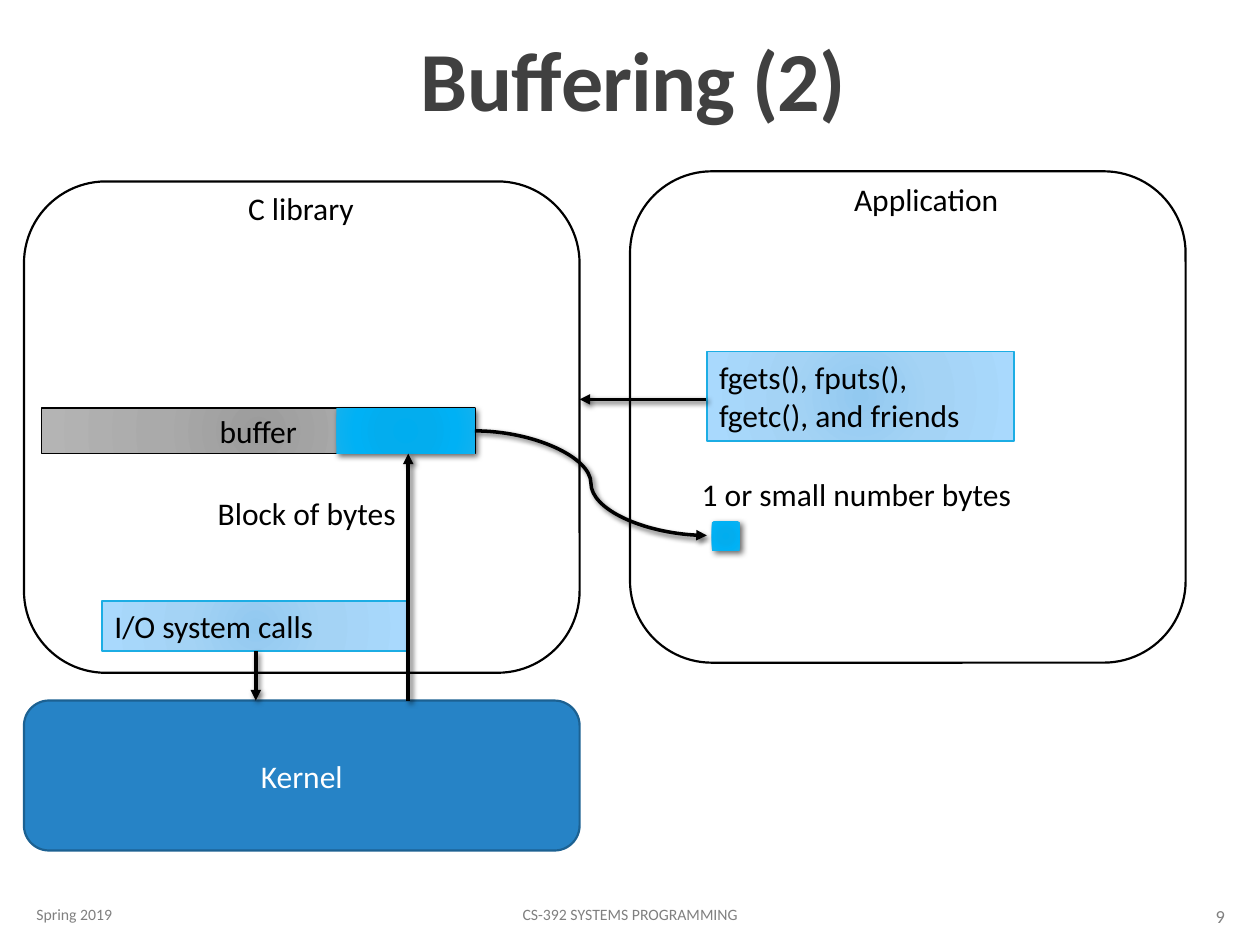
from lxml import etree
from pptx import Presentation
from pptx import util as u
from pptx.dml.color import RGBColor
from pptx.enum import shapes, text
from pptx.oxml.ns import qn

BLACK = RGBColor(0, 0, 0)
WHITE = RGBColor(255, 255, 255)
TITLE_GREY = RGBColor(0x40, 0x40, 0x40)
FOOTER_GREY = RGBColor(0x80, 0x80, 0x80)
KERNEL_BLUE = RGBColor(0x26, 0x83, 0xC6)
KERNEL_EDGE = RGBColor(0x1C, 0x61, 0x92)
CALL_EDGE = RGBColor(0x1C, 0xAD, 0xE4)

CALL_GLOW = [(0, RGBColor(0x92, 0xC9, 0xF0)), (45, RGBColor(0xA4, 0xD3, 0xF5)),
             (100, RGBColor(0xA9, 0xD9, 0xFD))]
BUFFER_GLOW = [(0, RGBColor(0x9C, 0x9C, 0x9C)), (45, RGBColor(0xAA, 0xAA, 0xAA)),
               (100, RGBColor(0xB4, 0xB4, 0xB4))]
BYTES_GLOW = [(0, RGBColor(0x00, 0xAD, 0xEF)), (34, RGBColor(0x03, 0xAD, 0xEE)),
              (70, RGBColor(0x00, 0xB1, 0xF5)), (100, RGBColor(0x12, 0xB1, 0xEE))]

LEFT, CENTER, RIGHT = text.PP_ALIGN.LEFT, text.PP_ALIGN.CENTER, text.PP_ALIGN.RIGHT
TOP, MIDDLE, BOTTOM = (text.MSO_ANCHOR.TOP, text.MSO_ANCHOR.MIDDLE,
                       text.MSO_ANCHOR.BOTTOM)
RECT, ROUND = shapes.MSO_SHAPE.RECTANGLE, shapes.MSO_SHAPE.ROUNDED_RECTANGLE
STRAIGHT, CURVE = shapes.MSO_CONNECTOR.STRAIGHT, shapes.MSO_CONNECTOR.CURVE


def add(parent, tag, **attributes):
    return etree.SubElement(parent, qn(tag),
                            {key: str(value) for key, value in attributes.items()})


def write(shape, words, size=18, color=BLACK, bold=False, align=LEFT, anchor=TOP,
          wrap=True, grow=False, line_spacing=None, tracking=None):
    frame = shape.text_frame
    frame.word_wrap = wrap
    frame.vertical_anchor = anchor
    if grow:
        frame.auto_size = text.MSO_AUTO_SIZE.SHAPE_TO_FIT_TEXT
    paragraph = frame.paragraphs[0]
    paragraph.alignment = align
    if line_spacing:
        paragraph.line_spacing = line_spacing
    run = paragraph.add_run()
    run.text = words
    run.font.name = "Calibri"
    run.font.size = u.Pt(size)
    run.font.bold = bold
    run.font.color.rgb = color
    if tracking:
        run.font._element.set("spc", str(int(tracking * 100)))


def glow(shape, stops):
    shape.fill.gradient()
    gradient = shape._element.spPr.find(qn("a:gradFill"))
    for child in list(gradient):
        gradient.remove(child)
    stop_list = add(gradient, "a:gsLst")
    for position, color in stops:
        add(add(stop_list, "a:gs", pos=position * 1000), "a:srgbClr", val=color)
    circle = add(gradient, "a:path", path="circle")
    add(circle, "a:fillToRect", l=100000, t=100000, r=100000, b=100000)


def cast_shadow(effects, blur):
    shadow = add(effects, "a:outerShdw", blurRad=u.Pt(blur), dist=u.Pt(2),
                 dir=45 * 60000, algn="tl", rotWithShape=0)
    add(add(shadow, "a:srgbClr", val=BLACK), "a:alpha", val=60000)


class Diagram:
    def __init__(self, slide):
        self.slide = slide
        self.arrow_width = u.Pt(2)

    def label(self, words, left, top, width, height, **style):
        box = self.slide.shapes.add_textbox(*map(u.Inches, (left, top, width, height)))
        write(box, words, **style)

    def tag(self, words, left, top, width):
        self.label(words, left, top, width, 0.4, wrap=False, grow=True)

    def box(self, kind, left, top, width, height, fill, edge=None, edge_width=1.25,
            words=None, shadow=False, **style):
        shape = self.slide.shapes.add_shape(
            kind, *map(u.Inches, (left, top, width, height)))
        if isinstance(fill, list):
            glow(shape, fill)
        else:
            shape.fill.solid()
            shape.fill.fore_color.rgb = fill
        if edge is None:
            shape.line.fill.background()
        else:
            shape.line.color.rgb = edge
            shape.line.width = u.Pt(edge_width)
        shape.shadow.inherit = False
        if shadow:
            cast_shadow(shape._element.spPr.find(qn("a:effectLst")), 3.5)
        if words:
            write(shape, words, **style)

    def panel(self, left, top):
        self.box(ROUND, left, top, 4.41, 3.9, WHITE, BLACK)

    def calls(self, words, left, top, height):
        self.box(RECT, left, top, 2.44, height, CALL_GLOW, CALL_EDGE, 1, words, grow=True)

    def data(self, left, top, width, height):
        self.box(RECT, left, top, width, height, BYTES_GLOW, shadow=True)

    def arrow(self, start, end, kind=STRAIGHT):
        arrow = self.slide.shapes.add_connector(kind, *map(u.Inches, start + end))
        arrow.line.color.rgb = BLACK
        arrow.line.width = self.arrow_width
        add(arrow.line._get_or_add_ln(), "a:tailEnd", type="triangle")
        cast_shadow(add(arrow._element.spPr, "a:effectLst"), 3)


def main():
    deck = Presentation()
    deck.slide_width, deck.slide_height = u.Inches(10), u.Inches(7.5)
    diagram = Diagram(deck.slides.add_slide(deck.slide_layouts[6]))

    diagram.panel(5, 1.36)
    diagram.label("Buffering (2)", 0.9, 0.04, 8.25, 1.03, size=48, color=TITLE_GREY,
                  bold=True, align=CENTER, anchor=BOTTOM, line_spacing=0.85,
                  tracking=-0.5)
    footers = [("Spring 2019", 0.19, 7.06, 2.03, 9, LEFT),
               ("CS-392 SYSTEMS PROGRAMMING", 3.02, 7.06, 3.96, 9, CENTER),
               ("9", 8.74, 7.07, 1.08, 10.5, RIGHT)]
    for words, left, top, width, size, align in footers:
        diagram.label(words, left, top, width, 0.4, size=size, color=FOOTER_GREY,
                      align=align, anchor=MIDDLE)

    diagram.panel(0.19, 1.44)
    diagram.calls("fgets(), fputs(), fgetc(), and friends", 5.61, 2.79, 0.71)
    diagram.box(RECT, 0.33, 3.24, 3.44, 0.36, BUFFER_GLOW, BLACK, 1, "buffer",
                align=CENTER, anchor=MIDDLE)
    diagram.calls("I/O system calls", 0.81, 4.77, 0.4)
    diagram.box(ROUND, 0.19, 5.56, 4.41, 1.19, KERNEL_BLUE, KERNEL_EDGE,
                words="Kernel", color=WHITE, align=CENTER, anchor=MIDDLE)
    diagram.tag("C library", 1.87, 1.45, 1.05)
    diagram.tag("Application", 6.68, 1.38, 1.36)

    diagram.arrow((5.6, 3.17), (4.6, 3.17))
    diagram.data(5.65, 4.14, 0.22, 0.23)
    diagram.tag("1 or small number bytes", 5.47, 3.72, 2.69)
    diagram.arrow((2.03, 5.17), (2.03, 5.56))
    diagram.data(2.67, 3.24, 1.1, 0.36)
    diagram.arrow((3.24, 5.56), (3.24, 3.6))
    diagram.tag("Block of bytes", 1.63, 3.87, 1.63)
    diagram.arrow((3.77, 3.42), (5.61, 4.25), CURVE)

    deck.save("out.pptx")


if __name__ == "__main__":
    main()
